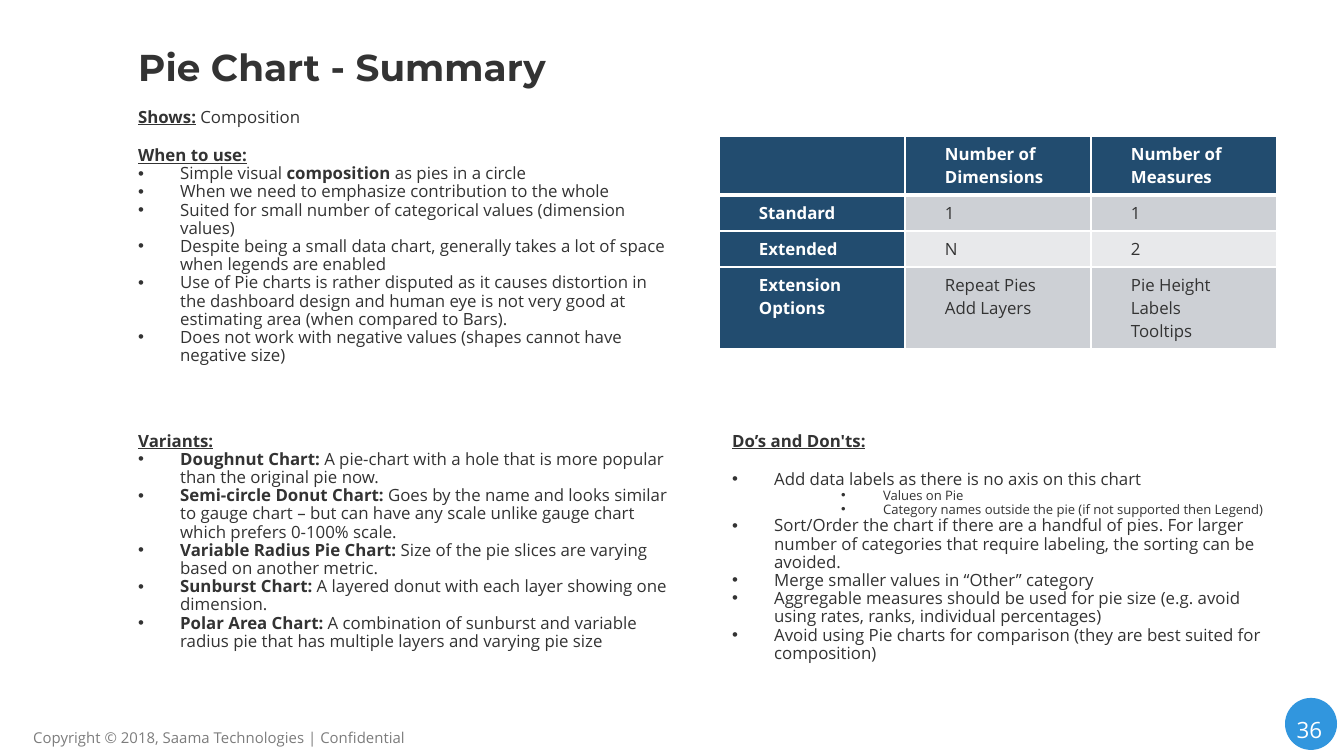
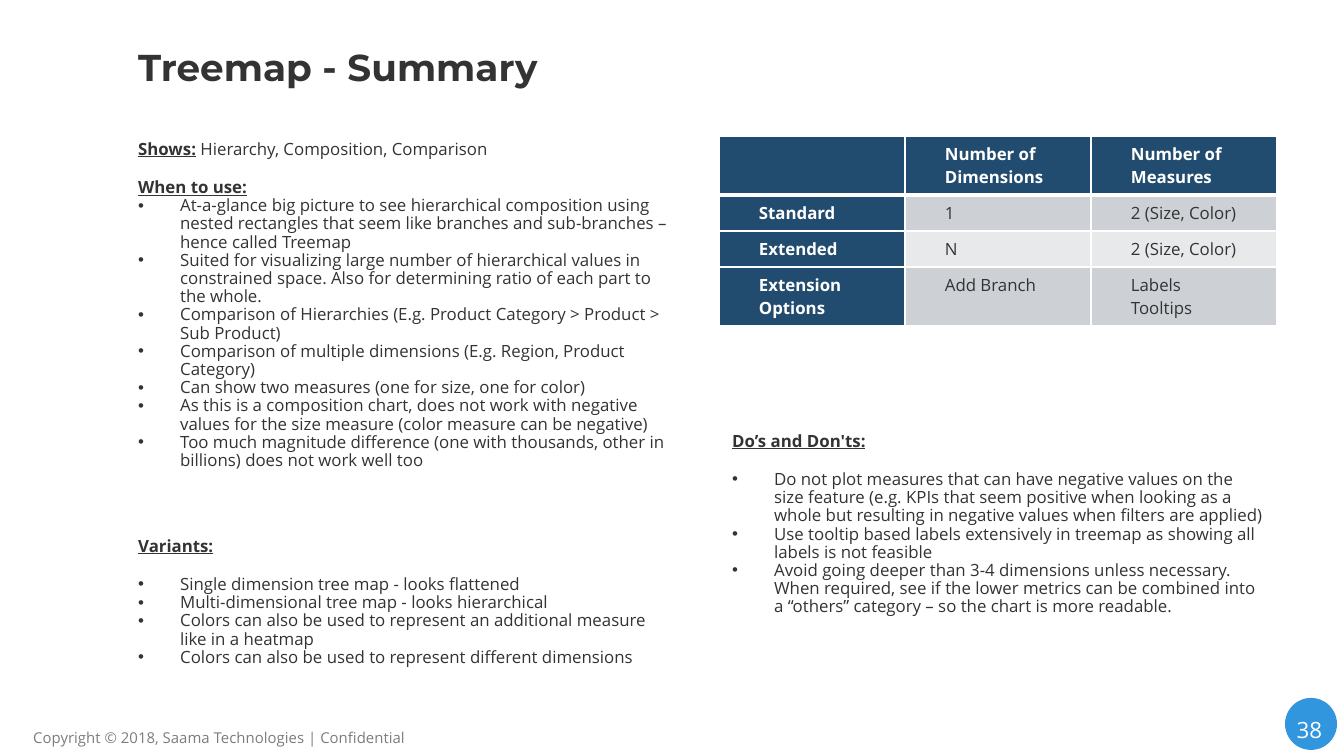
"""Builds two chart summary slides: guidance text on the left, a table and advice on the right."""
from lxml.etree import SubElement
from pptx import Presentation
from pptx.dml.color import RGBColor
from pptx.enum.shapes import MSO_SHAPE
from pptx.enum.text import MSO_ANCHOR, PP_ALIGN
from pptx.oxml.ns import qn
from pptx.util import Pt

COLORS = {"ink": "333333", "white": "FFFFFF", "gray": "7C7C7C", "blue": "3196DE",
          "navy": "224C6F", "band": "CDD0D5", "light": "E8E9EB"}
COPYRIGHT = "Copyright © 2018, Saama Technologies | Confidential"
TABLE_HEAD = ["", ["Number of Dimensions"], ["Number of Measures"]]

SLIDES = [
    {
        "title": "Pie Chart - Summary",
        "number": "36",
        "use_box": (125, 102, 558, 304),
        "use": [
            ("head", "*Shows:* Composition"),
            ("head", "*When to use:*"),
            ("bullet", "Simple visual *composition *as pies in a circle"),
            ("bullet", "When we need to emphasize contribution to the whole"),
            ("bullet", "Suited for small number of categorical values (dimension values)"),
            ("bullet", "Despite being a small data chart, generally takes a lot of space when legends are enabled"),
            ("bullet", "Use of Pie charts is rather disputed as it causes distortion in the dashboard design "
                       "and human eye is not very good at estimating area (when compared to Bars)."),
            ("bullet", "Does not work with negative values (shapes cannot have negative size)"),
        ],
        "variants_box": (125, 426, 558, 302),
        "variants": [
            ("head", "*Variants:*"),
            ("bullet", "*Doughnut Chart:* A pie-chart with a hole that is more popular than the original pie now."),
            ("bullet", "*Semi-circle Donut Chart:* Goes by the name and looks similar to gauge chart – "
                       "but can have any scale unlike gauge chart which prefers 0-100% scale."),
            ("bullet", "*Variable Radius Pie Chart: *Size of the pie slices are varying based on another metric."),
            ("bullet", "*Sunburst Chart:* A layered donut with each layer showing one dimension."),
            ("bullet", "*Polar Area Chart: *A combination of sunburst and variable radius pie "
                       "that has multiple layers and varying pie size"),
        ],
        "advice": [
            ("head", "*Do’s and Don'ts:*"),
            ("first", "Add data labels as there is no axis on this chart"),
            ("sub", "Values on Pie"),
            ("sub", "Category names outside the pie (if not supported then Legend)"),
            ("bullet", "Sort/Order the chart if there are a handful of pies. For larger number of categories "
                       "that require labeling, the sorting can be avoided."),
            ("bullet", "Merge smaller values in “Other” category"),
            ("bullet", "Aggregable measures should be used for pie size "
                       "(e.g. avoid using rates, ranks, individual percentages)"),
            ("bullet", "Avoid using Pie charts for comparison (they are best suited for composition)"),
        ],
        "rows": [
            [["Standard"], ["1"], ["1"]],
            [["Extended"], ["N"], ["2"]],
            [["Extension Options"], ["Repeat Pies", "Add Layers"], ["Pie Height", "Labels", "Tooltips"]],
        ],
        "row_lines": [2, 1, 1, 3],
    },
    {
        "title": "Treemap - Summary",
        "number": "38",
        "use_box": (125, 134, 558, 360),
        "use": [
            ("head", "*Shows:* Hierarchy, Composition, Comparison"),
            ("head", "*When to use:*"),
            ("bullet", "At-a-glance big picture to see hierarchical composition using nested rectangles "
                       "that seem like branches and sub-branches – hence called Treemap"),
            ("bullet", "Suited for visualizing large number of hierarchical values in constrained space. "
                       "Also for determining ratio of each part to the whole."),
            ("bullet", "Comparison of Hierarchies (E.g. Product Category > Product > Sub Product)"),
            ("bullet", "Comparison of multiple dimensions (E.g. Region, Product Category)"),
            ("bullet", "Can show two measures (one for size, one for color)"),
            ("bullet", "As this is a composition chart, does not work with negative values "
                       "for the size measure (color measure can be negative)"),
            ("bullet", "Too much magnitude difference (one with thousands, other in billions) does not work well too"),
        ],
        "variants_box": (125, 531, 558, 160),
        "variants": [
            ("head", "*Variants:*"),
            ("first", "Single dimension tree map - looks flattened"),
            ("bullet", "Multi-dimensional tree map - looks hierarchical"),
            ("bullet", "Colors can also be used to represent an additional measure like in a heatmap"),
            ("bullet", "Colors can also be used to represent different dimensions"),
        ],
        "advice": [
            ("head", "*Do’s and Don'ts:*"),
            ("first", "Do not plot measures that can have negative values on the size feature (e.g. KPIs that seem "
                      "positive when looking as a whole but resulting in negative values when filters are applied)"),
            ("bullet", "Use tooltip based labels extensively in treemap as showing all labels is not feasible"),
            ("bullet", "Avoid going deeper than 3-4 dimensions unless necessary. When required, see if the lower "
                       "metrics can be combined into a “others” category – so the chart is more readable."),
        ],
        "rows": [
            [["Standard"], ["1"], ["2 (Size, Color)"]],
            [["Extended"], ["N"], ["2 (Size, Color)"]],
            [["Extension Options"], ["Add Branch"], ["Labels", "Tooltips"]],
        ],
        "row_lines": [2, 1, 1, 2],
    },
]

STYLES = {
    "head": {"underline": True, "gap": 10.8},
    "first": {"indent": 42, "gap": 10.8},
    "bullet": {"indent": 42},
    "sub": {"indent": 151, "level": 1, "size": 7},
}
TITLE_BOX = (125, 19, 1152, 95)
ADVICE_BOX = (719, 426, 558, 265)
TABLE_AT = (719, 136)
COLUMN, HANG, CELL_INSET = 186, 42, 40
LINE, CELL_PAD = 23, 13


def px(n):
    return round(n * 914400 / 134.4)


def rgb(name):
    return RGBColor.from_string(COLORS[name])


def write(p, text, size=9, color="ink", font="Open Sans", bold=False, underline=False,
          indent=0, level=0, gap=0, spacing=None, align=None):
    p.level, p.line_spacing, p.alignment = level, spacing, align
    p.space_before = Pt(gap)
    if indent:
        pPr = p._p.get_or_add_pPr()
        pPr.set("marL", str(px(indent)))
        pPr.set("indent", str(-px(HANG)))
        SubElement(pPr, qn("a:buFont"), typeface="Arial")
        SubElement(pPr, qn("a:buChar"), char="•")
    for i, part in enumerate(text.split("*")):
        if part:
            r = p.add_run()
            r.text = part
            r.font.size, r.font.name = Pt(size), font
            r.font.color.rgb = rgb(color)
            r.font.bold = bold or i % 2 == 1
            r.font.underline = underline and i % 2 == 1


def paragraphs(tf, count):
    return [tf.paragraphs[0]] + [tf.add_paragraph() for _ in range(count - 1)]


def add_box(s, box, anchor=MSO_ANCHOR.TOP):
    tf = s.shapes.add_textbox(*map(px, box)).text_frame
    tf.word_wrap, tf.vertical_anchor = True, anchor
    return tf


def add_label(s, text, box, anchor=MSO_ANCHOR.TOP, **fmt):
    write(add_box(s, box, anchor).paragraphs[0], text, **fmt)


def add_body(s, items, box):
    tf = add_box(s, box)
    for i, (p, (style, text)) in enumerate(zip(paragraphs(tf, len(items)), items)):
        fmt = {**STYLES[style], "spacing": 0.9}
        if i == 0:
            fmt["gap"] = 0
        write(p, text, **fmt)


def set_borders(cell, **widths):
    tcPr = cell._tc.get_or_add_tcPr()
    for side in "LRTB":
        ln = SubElement(tcPr, qn(f"a:ln{side}"), w=str(Pt(widths.get(side, 1))))
        SubElement(SubElement(ln, qn("a:solidFill")), qn("a:srgbClr"), val=COLORS["white"])


def add_summary_table(s, rows, row_lines):
    rows = [TABLE_HEAD] + rows
    heights = [px(CELL_PAD + LINE * n) for n in row_lines]
    table = s.shapes.add_table(len(rows), 3, *map(px, TABLE_AT), px(3 * COLUMN), sum(heights)).table
    for column in table.columns:
        column.width = px(COLUMN)
    for i, row in enumerate(rows):
        table.rows[i].height = heights[i]
        for j, lines in enumerate(row):
            cell = table.cell(i, j)
            set_borders(cell, **({"B": 3} if i == 0 else {"T": 3} if i == 1 else {}))
            heading = i == 0 or j == 0
            cell.fill.solid()
            cell.fill.fore_color.rgb = rgb("navy" if heading else "band" if i % 2 else "light")
            cell.margin_left = cell.margin_right = px(CELL_INSET)
            for p, line in zip(paragraphs(cell.text_frame, len(lines)), lines):
                write(p, line, color="white" if heading else "ink", bold=heading)


def add_footer(s, number):
    disc = s.shapes.add_shape(MSO_SHAPE.OVAL, px(1285), px(698), px(52), px(52))
    disc.shadow.inherit = False
    disc.fill.solid()
    disc.fill.fore_color.rgb = rgb("blue")
    disc.line.fill.background()
    add_label(s, number, (1275, 680, 69, 85), MSO_ANCHOR.MIDDLE, size=12, color="white",
              spacing=1.5, align=PP_ALIGN.CENTER)
    add_label(s, COPYRIGHT, (20, 722, 527, 28), size=8, color="gray")


def main():
    prs = Presentation()
    prs.slide_width, prs.slide_height = px(1344), px(756)
    for content in SLIDES:
        s = prs.slides.add_slide(prs.slide_layouts[6])
        add_footer(s, content["number"])
        add_body(s, content["use"], content["use_box"])
        add_body(s, content["variants"], content["variants_box"])
        add_label(s, content["title"], TITLE_BOX, MSO_ANCHOR.MIDDLE, size=20, font="Montserrat", bold=True)
        add_body(s, content["advice"], ADVICE_BOX)
        add_summary_table(s, content["rows"], content["row_lines"])
    prs.save("out.pptx")


if __name__ == "__main__":
    main()
